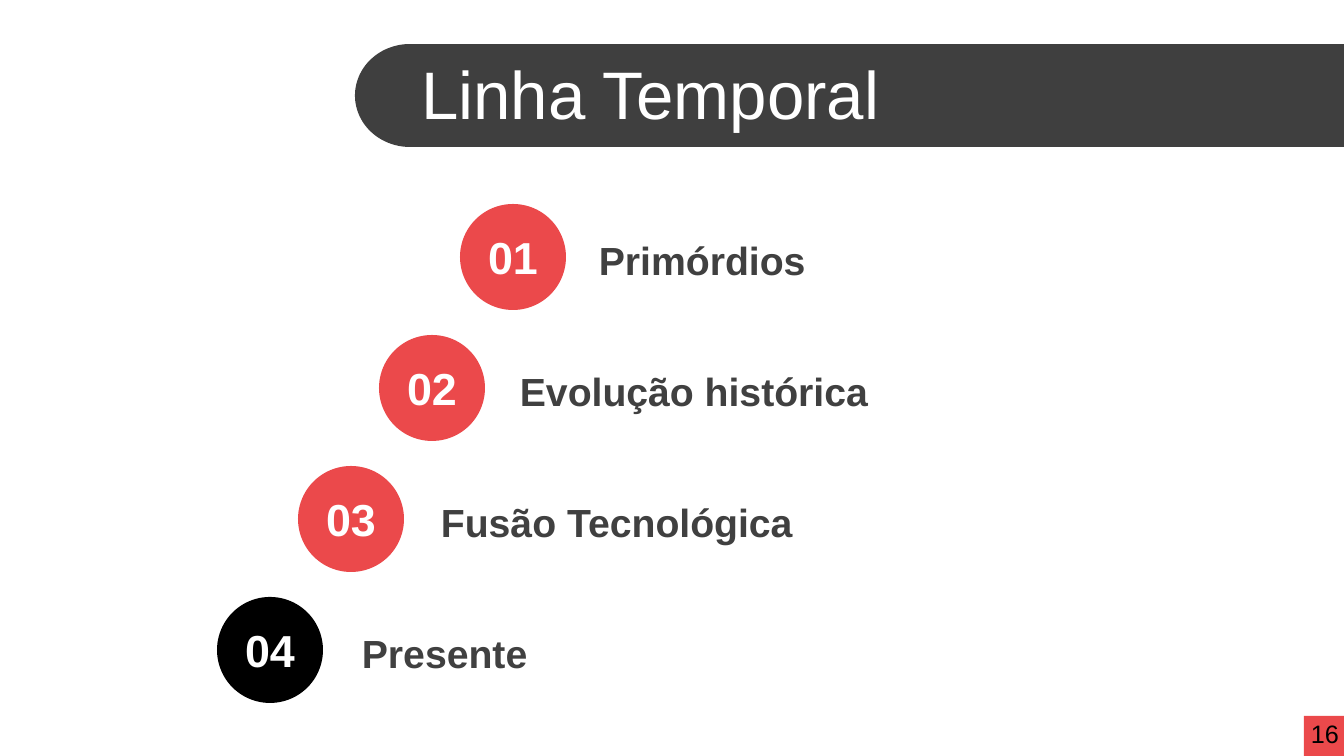
import math
from dataclasses import dataclass

import pptx
import pptx.dml.color
import pptx.enum.shapes
import pptx.enum.text
import pptx.util

SCALE = 914400 / 100.8
SHAPE = pptx.enum.shapes.MSO_SHAPE
ALIGN = pptx.enum.text.PP_ALIGN
MIDDLE = pptx.enum.text.MSO_ANCHOR.MIDDLE


@dataclass(frozen=True)
class Theme:
    font: str = "Arial"
    bar: str = "3F3F3F"
    red: str = "EB494B"
    black: str = "000000"
    white: str = "FFFFFF"
    text: str = "404040"
    title_size: int = 48
    badge_size: int = 32
    label_size: int = 28
    page_size: int = 18


THEME = Theme()
STEPS = ["Primórdios", "Evolução histórica", "Fusão Tecnológica", "Presente"]


def px(count):
    return pptx.util.Emu(round(count * SCALE))


def rgb(code):
    return pptx.dml.color.RGBColor.from_string(code)


def paint(shape, color):
    shape.shadow.inherit = False
    shape.fill.solid()
    shape.fill.fore_color.rgb = rgb(color)
    shape.line.fill.background()


def write(shape, text, size, color, bold=False, align=ALIGN.LEFT):
    frame = shape.text_frame
    frame.text = text
    frame.word_wrap = True
    frame.vertical_anchor = MIDDLE
    line = frame.paragraphs[0]
    line.alignment = align
    font = line.runs[0].font
    font.name = THEME.font
    font.size = pptx.util.Pt(size)
    font.bold = bold
    font.color.rgb = rgb(color)


def add_bar(slide, left, top, right, height):
    """Draw a bar with a rounded left end, behind all other shapes."""
    wide, half = 55, height / 2
    arc = []
    for angle in range(90, 271, 3):
        turn = math.radians(angle)
        arc.append((px(left + wide + wide * math.cos(turn)),
                    px(top + half + half * math.sin(turn))))
    edge = [(px(right), px(top)), (px(right), px(top + height))]
    form = slide.shapes.build_freeform(*arc[0], scale=1.0)
    form.add_line_segments(arc[1:] + edge, close=True)
    bar = form.convert_to_shape()
    paint(bar, THEME.bar)
    slide.shapes.title._element.addprevious(bar._element)


def add_title(slide, text, *box):
    title = slide.shapes.title
    title.left, title.top, title.width, title.height = map(px, box)
    write(title, text, THEME.title_size, THEME.white)


def add_tile(slide, kind, box, color):
    """Add a filled shape whose text may use its whole area."""
    tile = slide.shapes.add_shape(kind, *map(px, box))
    paint(tile, color)
    frame = tile.text_frame
    frame.margin_left = frame.margin_right = 0
    frame.margin_top = frame.margin_bottom = 0
    return tile


def add_step(slide, index, text, last):
    color = THEME.black if last else THEME.red
    box = (460 - 81 * index, 204 + 131 * index, 106, 106)
    badge = add_tile(slide, SHAPE.OVAL, box, color)
    write(badge, f"{index + 1:02}", THEME.badge_size, THEME.white,
          bold=True, align=ALIGN.CENTER)
    box = (589 - 79 * index, 231 + 131 * index, 677, 57)
    label = slide.shapes.add_textbox(*map(px, box))
    write(label, text, THEME.label_size, THEME.text, bold=True)


def add_page(slide, number):
    tile = add_tile(slide, SHAPE.RECTANGLE, (1304, 716, 40, 40), THEME.red)
    tile.text_frame.margin_right = px(5)
    tile.text_frame.margin_bottom = px(5)
    write(tile, number, THEME.page_size, THEME.black, align=ALIGN.RIGHT)


def main():
    deck = pptx.Presentation()
    deck.slide_width, deck.slide_height = px(1344), px(756)
    slide = deck.slides.add_slide(deck.slide_layouts[5])
    add_bar(slide, 355, 44, 1344, 103)
    add_title(slide, "Linha Temporal", 411, 50, 933, 85)
    for index, text in enumerate(STEPS):
        add_step(slide, index, text, last=index == len(STEPS) - 1)
    add_page(slide, "16")
    deck.save("out.pptx")


if __name__ == "__main__":
    main()
